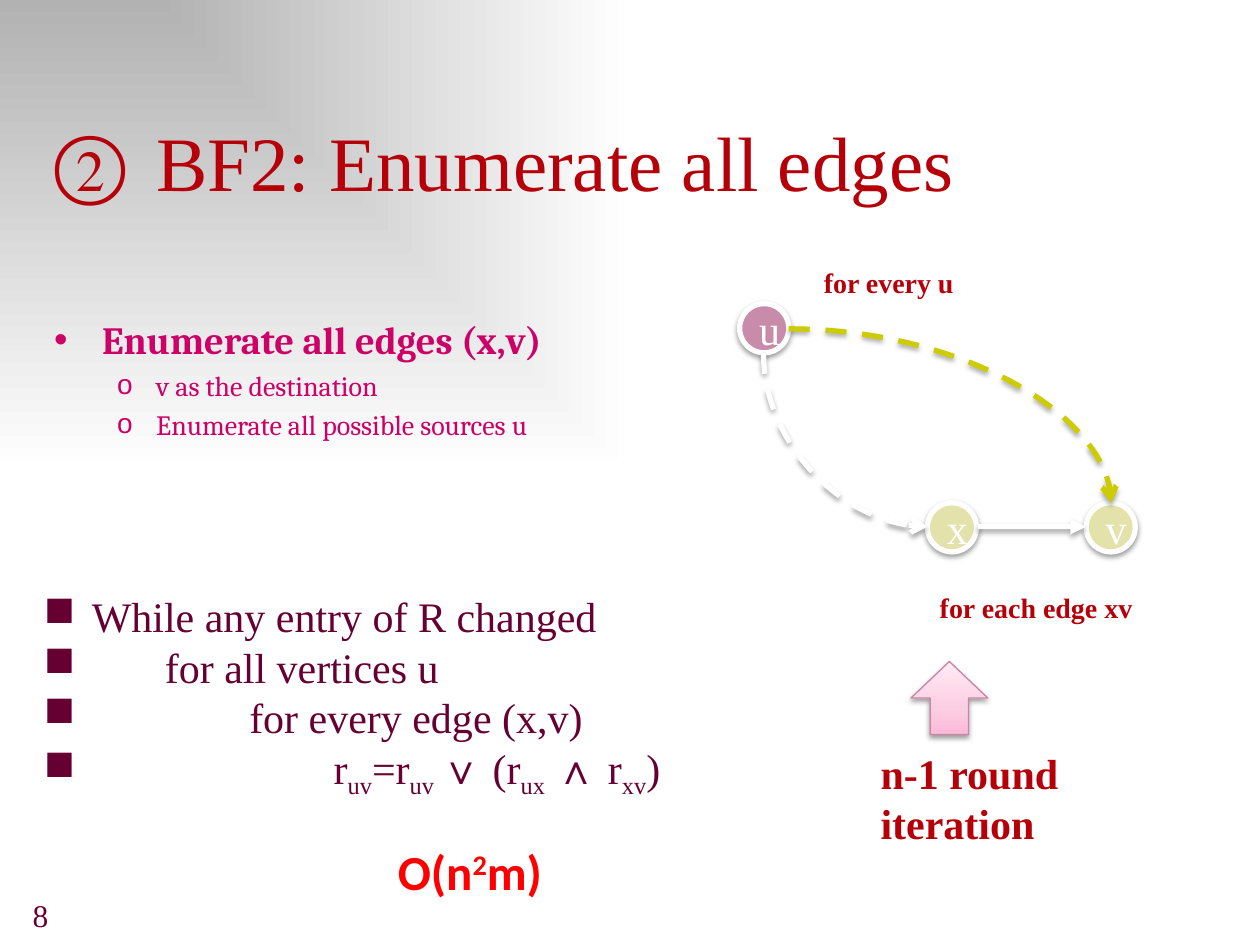
from dataclasses import dataclass
from typing import Optional

import pptx
import pptx.dml.color
import pptx.enum.dml
import pptx.enum.shapes
import pptx.enum.text
import pptx.oxml
import pptx.oxml.ns
import pptx.util

Inches, Pt = pptx.util.Inches, pptx.util.Pt
RGBColor = pptx.dml.color.RGBColor
qn = pptx.oxml.ns.qn
Shape = pptx.enum.shapes.MSO_SHAPE
Connector = pptx.enum.shapes.MSO_CONNECTOR
Anchor = pptx.enum.text.MSO_ANCHOR
Align = pptx.enum.text.PP_ALIGN

RED = RGBColor(0xB6, 0x00, 0x09)
BRIGHT_RED = RGBColor(0xFF, 0x00, 0x00)
PLUM = RGBColor(0x66, 0x00, 0x33)
MAGENTA = RGBColor(0xCC, 0x00, 0x66)
WHITE = RGBColor(0xFF, 0xFF, 0xFF)
GRAY = RGBColor(0xB2, 0xB2, 0xB2)
MAUVE = RGBColor(0xC9, 0x8B, 0xAA)
CREAM = RGBColor(0xE2, 0xE2, 0xAA)
OLIVE = RGBColor(0xCC, 0xCC, 0x00)
ARROW_EDGE = RGBColor(0xC6, 0x86, 0xA6)
ARROW_STOPS = [(0, RGBColor(0xFC, 0xB9, 0xD8)), (35, RGBColor(0xFC, 0xCE, 0xE3)),
               (100, RGBColor(0xFF, 0xEB, 0xF4))]
SERIF = "Times New Roman"
NODE_SIZE = 0.39
SUB, SUPER = -25, 30


@dataclass
class Style:
    size: float
    color: RGBColor
    font: str = SERIF
    bold: bool = False


@dataclass
class Node:
    name: str
    left: float
    top: float
    fill: RGBColor


@dataclass
class Edge:
    kind: Connector
    start: tuple[float, float]
    end: tuple[float, float]
    color: RGBColor
    head: str
    turned: bool = False


@dataclass
class Label:
    lines: list
    area: tuple[float, float, float, float]
    style: Style
    wrap: bool = True
    anchor: Anchor = Anchor.TOP


def add_child(parent, tag: str, **attributes: str):
    child = parent.makeelement(qn(tag), attributes)
    parent.append(child)
    return child


def place(shape, left: float, top: float, width: float, height: float) -> None:
    shape.left, shape.top = Inches(left), Inches(top)
    shape.width, shape.height = Inches(width), Inches(height)


def apply_style(paragraph, style: Style) -> None:
    for span in paragraph.runs:
        font = span.font
        font.size, font.name, font.bold = Pt(style.size), style.font, style.bold
        font.color.rgb = style.color


def fill_frame(frame, lines: list, style: Style) -> None:
    """Write one paragraph per line; a line is text or a list of (text, baseline) spans."""
    for index, line in enumerate(lines):
        paragraph = frame.paragraphs[0] if index == 0 else frame.add_paragraph()
        if isinstance(line, str):
            paragraph.text = line
        else:
            for text, baseline in line:
                span = paragraph.add_run()
                span.text = text
                if baseline:
                    span.font._element.set("baseline", str(baseline * 1000))
        apply_style(paragraph, style)


def set_bullet(paragraph, margin: float, hang: float, tag: str, **attributes: str) -> None:
    properties = paragraph._p.get_or_add_pPr()
    properties.set("marL", str(Inches(margin)))
    properties.set("indent", str(-Inches(hang)))
    add_child(properties, tag, **attributes)


def add_shadow(shape, alpha: int, distance: float) -> None:
    effects = add_child(shape.element.spPr, "a:effectLst")
    shadow = add_child(effects, "a:outerShdw", blurRad=str(Pt(3.1)), dist=str(Pt(distance)),
                       dir="5400000", rotWithShape="0")
    color = add_child(shadow, "a:srgbClr", val="000000")
    add_child(color, "a:alpha", val=str(alpha * 1000))


def set_gradient(fill, owner, stops: list, angle: Optional[int] = None) -> None:
    """Shade along an angle, or outwards from the top left corner without one."""
    fill.gradient()
    gradient = next(owner.iter(qn("a:gradFill")))
    for child in list(gradient):
        gradient.remove(child)
    stop_list = add_child(gradient, "a:gsLst")
    for position, color in stops:
        stop = add_child(stop_list, "a:gs", pos=str(position * 1000))
        add_child(stop, "a:srgbClr", val=str(color))
    if angle is None:
        shade = add_child(gradient, "a:path", path="rect")
        add_child(shade, "a:fillToRect", r="100000", b="100000")
    else:
        add_child(gradient, "a:lin", ang=str(angle * 60000), scaled="1")


def add_label(page, label: Label):
    box = page.shapes.add_textbox(*map(Inches, label.area))
    frame = box.text_frame
    frame.word_wrap, frame.vertical_anchor = label.wrap, label.anchor
    fill_frame(frame, label.lines, label.style)
    return box


def add_node(page, node: Node) -> None:
    circle = page.shapes.add_shape(Shape.OVAL, *map(Inches, (node.left, node.top, NODE_SIZE, NODE_SIZE)))
    circle.fill.solid()
    circle.fill.fore_color.rgb = node.fill
    circle.line.color.rgb, circle.line.width = WHITE, Pt(3)
    add_shadow(circle, 38, 1.6)
    frame = circle.text_frame
    frame.vertical_anchor = Anchor.MIDDLE
    fill_frame(frame, [node.name], Style(24, WHITE))
    frame.paragraphs[0].alignment = Align.CENTER


def add_edge(page, edge: Edge) -> None:
    line = page.shapes.add_connector(edge.kind, *map(Inches, edge.start + edge.end))
    line.line.color.rgb, line.line.width = edge.color, Pt(3)
    properties = line.element.spPr
    if edge.kind == Connector.CURVE:
        line.line.dash_style = pptx.enum.dml.MSO_LINE.DASH
        properties.find(qn("a:prstGeom")).set("prst", "curvedConnector2")
    if edge.turned:
        frame = properties.find(qn("a:xfrm"))
        frame.set("rot", str(270 * 60000))
        frame.set("flipH", "1")
    add_child(properties.find(qn("a:ln")), "a:tailEnd", type=edge.head)
    add_shadow(line, 35, 1.8)


def add_title_and_list(page) -> None:
    title = page.shapes.title
    place(title, 0.33, 0.85, 9, 0.84)
    title.text_frame.vertical_anchor = Anchor.BOTTOM
    fill_frame(title.text_frame, ["BF2: Enumerate all edges"], Style(44, RED))
    heading = title.text_frame.paragraphs[0]
    heading.alignment = Align.LEFT
    set_bullet(heading, 0.81, 0.81, "a:buAutoNum", type="circleNumDbPlain", startAt="2")

    body = page.placeholders[1]
    place(body, 0.33, 2.46, 4.4, 1.47)
    frame = body.text_frame
    frame.auto_size = pptx.enum.text.MSO_AUTO_SIZE.NONE
    fill_frame(frame, ["Enumerate all edges (x,v)", "v as the destination",
                       "Enumerate all possible sources u"], Style(16, MAGENTA, "Cambria"))
    first, *details = frame.paragraphs
    apply_style(first, Style(22, MAGENTA, "Cambria", True))
    set_bullet(first, 0.38, 0.38, "a:buChar", char="•")
    for paragraph in details:
        paragraph.level = 1
        set_bullet(paragraph, 0.81, 0.31, "a:buChar", char="o")


def main() -> None:
    deck = pptx.Presentation()
    deck.slide_width, deck.slide_height = Inches(10), Inches(7.5)
    page = deck.slides.add_slide(deck.slide_layouts[1])
    set_gradient(page.background.fill, page.element, [(0, GRAY), (100, WHITE)])
    add_title_and_list(page)

    for node in (Node("u", 5.87, 2.41, MAUVE), Node("x", 7.36, 3.99, CREAM), Node("v", 8.62, 3.99, CREAM)):
        add_node(page, node)
    for edge in (Edge(Connector.STRAIGHT, (7.76, 4.18), (8.62, 4.18), WHITE, "triangle"),
                 Edge(Connector.CURVE, (6.26, 2.61), (8.82, 3.99), OLIVE, "arrow"),
                 Edge(Connector.CURVE, (6.02, 2.84), (7.4, 4.14), WHITE, "arrow", turned=True)):
        add_edge(page, edge)

    arrow = page.shapes.add_shape(Shape.UP_ARROW, *map(Inches, (7.23, 5.25, 0.61, 0.58)))
    set_gradient(arrow.fill, arrow.element, ARROW_STOPS, 270)
    arrow.line.color.rgb, arrow.line.width = ARROW_EDGE, Pt(0.75)
    add_shadow(arrow, 38, 1.6)

    caption = Style(16, RED, bold=True)
    for label in (
            Label(["for every u"], (6.44, 2.06, 1.31, 0.37), caption, wrap=False),
            Label(["for each edge xv"], (7.36, 4.64, 1.88, 0.37), caption, wrap=False),
            Label(["n-1 round", "iteration"], (6.89, 5.88, 2.69, 0.91), Style(24, RED, bold=True)),
            Label([[("O(n", 0), ("2", SUPER), ("m)", 0)]], (3.06, 6.63, 1.54, 0.57),
                  Style(28, BRIGHT_RED, "Calibri", True)),
            Label(["8"], (0.16, 6.96, 2.08, 0.5), Style(18, PLUM), anchor=Anchor.BOTTOM)):
        add_label(page, label)

    update = [("r", 0), ("uv", SUB), ("=r", 0), ("uv ", SUB), ("∨ (r", 0), ("ux", SUB),
              (" ∧ r", 0), ("xv", SUB), (")", 0)]
    code = add_label(page, Label(["While any entry of R changed", "for all vertices u",
                                  "for every edge (x,v)", update], (0.25, 4.64, 5.18, 1.72), Style(24, PLUM)))
    for depth, paragraph in enumerate(code.text_frame.paragraphs):
        margin = 0.38 if depth == 0 else 0.29 + 0.67 * depth
        set_bullet(paragraph, margin, margin, "a:buChar", char="■")
    deck.save("out.pptx")


if __name__ == "__main__":
    main()
